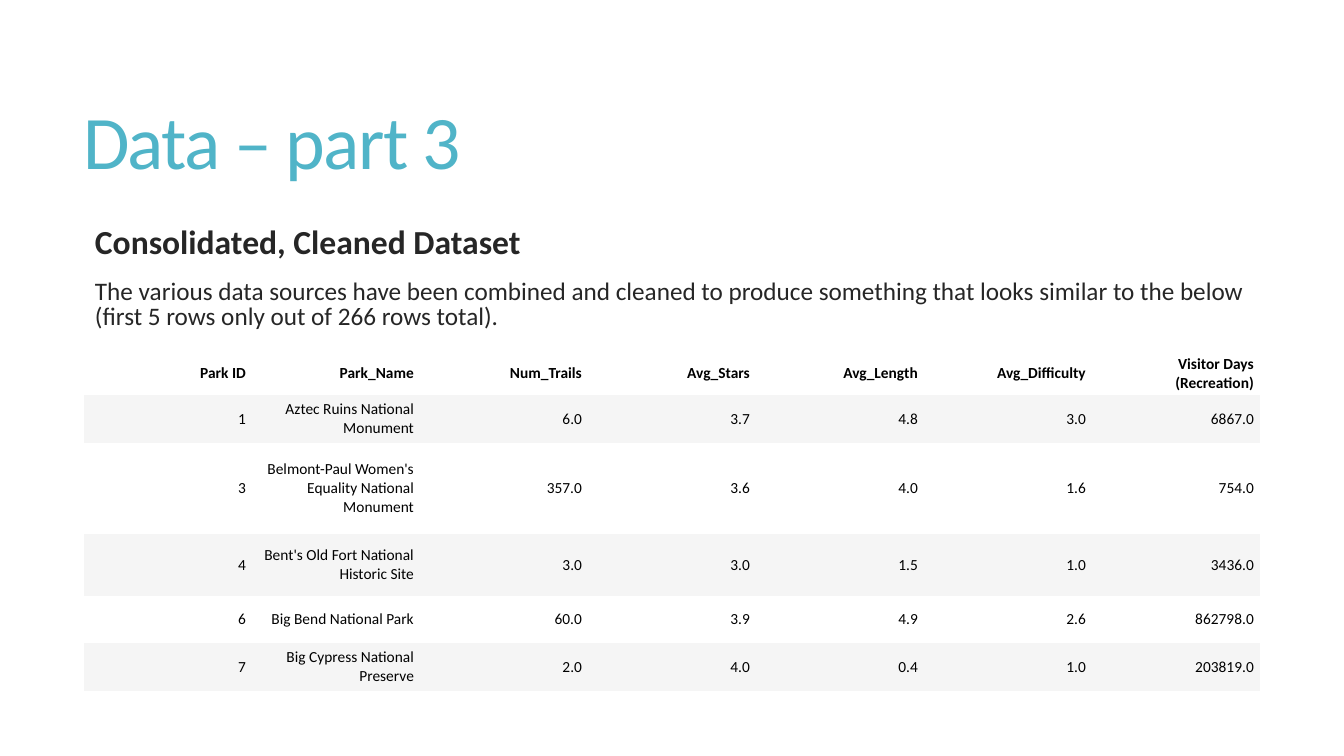
from pptx import Presentation
from pptx.dml.color import RGBColor
from pptx.enum.text import MSO_ANCHOR as Anchor, PP_ALIGN as Align
from pptx.oxml.ns import qn
from pptx.util import Emu, Pt

SLIDE_W, SLIDE_H = 1344, 756
NO_STYLE = "{2D5ABB26-0587-4C30-8999-92F81FD0307C}"


def px(n):
    return Emu(round(n * 12192000 / SLIDE_W))


def write(paragraph, text, size, color="000000", bold=False, align=Align.LEFT,
          line=None, before=None, tracking=None):
    paragraph.alignment = align
    paragraph.line_spacing = line
    paragraph.space_before = before
    run = paragraph.add_run()
    run.text = text
    run.font.name = "Calibri"
    run.font.size = Pt(size)
    run.font.bold = bold
    run.font.color.rgb = RGBColor.from_string(color)
    if tracking:
        run.font._element.set("spc", str(tracking))


deck = Presentation()
deck.slide_width, deck.slide_height = px(SLIDE_W), px(SLIDE_H)
slide = deck.slides.add_slide(deck.slide_layouts[5])

# Title
title = slide.shapes.title
title.left, title.top, title.width, title.height = px(73), px(55), px(1187), px(182)
title.text_frame.vertical_anchor = Anchor.MIDDLE
title.text_frame.word_wrap = True
write(title.text_frame.paragraphs[0], "Data – part 3", 54, "50B4C8", line=0.85, tracking=-120)

# Introduction
intro = slide.shapes.add_textbox(px(75), px(222), px(1185), px(415)).text_frame
intro.word_wrap = True
intro.margin_left = px(20)
write(intro.paragraphs[0], "Consolidated, Cleaned Dataset", 24, "262626", bold=True,
      line=0.85, before=Pt(13))
write(intro.add_paragraph(),
      "The various data sources have been combined and cleaned to produce something that "
      "looks similar to the below (first 5 rows only out of 266 rows total).",
      18, "262626", line=0.85, before=Pt(13))

# Park table: row height in px, then the cell texts
parks = [
    (34, ["Park ID", "Park_Name", "Num_Trails", "Avg_Stars", "Avg_Length",
          "Avg_Difficulty", "Visitor Days (Recreation)"]),
    (48, ["1", "Aztec Ruins National Monument", "6.0", "3.7", "4.8", "3.0", "6867.0"]),
    (91, ["3", "Belmont-Paul Women's Equality National Monument",
          "357.0", "3.6", "4.0", "1.6", "754.0"]),
    (62, ["4", "Bent's Old Fort National Historic Site", "3.0", "3.0", "1.5", "1.0", "3436.0"]),
    (47, ["6", "Big Bend National Park", "60.0", "3.9", "4.9", "2.6", "862798.0"]),
    (48, ["7", "Big Cypress National Preserve", "2.0", "4.0", "0.4", "1.0", "203819.0"]),
]
columns = len(parks[0][1])
table = slide.shapes.add_table(len(parks), columns, px(84), px(352), px(168 * columns),
                               px(sum(height for height, _ in parks))).table
table._tbl.tblPr.find(qn("a:tableStyleId")).text = NO_STYLE

for r, (height, texts) in enumerate(parks):
    table.rows[r].height = px(height)
    for c, text in enumerate(texts):
        cell = table.cell(r, c)
        cell.vertical_anchor = Anchor.MIDDLE
        cell.margin_left = cell.margin_right = px(6)
        cell.margin_top = cell.margin_bottom = px(3)
        if r % 2:
            cell.fill.solid()
            cell.fill.fore_color.rgb = RGBColor.from_string("F5F5F5")
        else:
            cell.fill.background()
        write(cell.text_frame.paragraphs[0], text, 11, bold=r == 0, align=Align.RIGHT)

deck.save("out.pptx")
